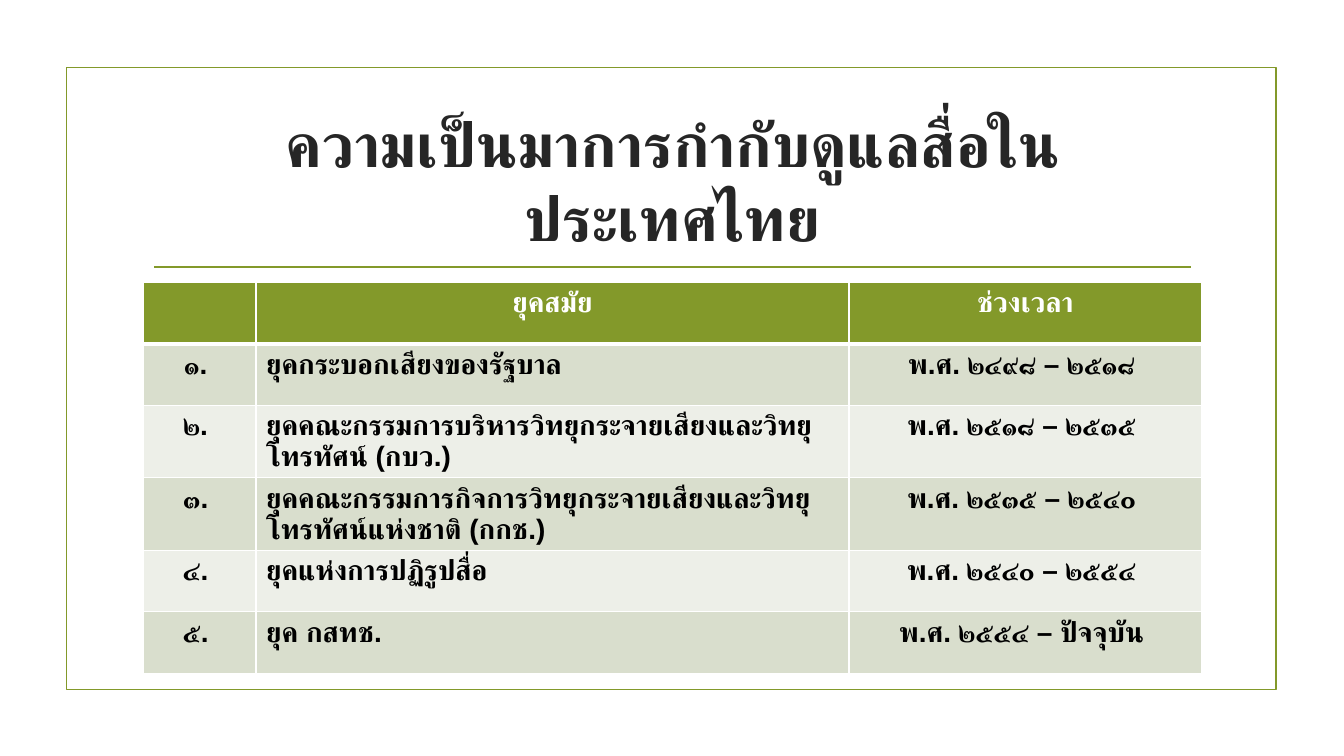
"""Build a slide listing the eras of media regulation in Thailand."""
import lxml.etree
import pptx
import pptx.dml.color
import pptx.enum.shapes
import pptx.enum.text
import pptx.oxml
import pptx.oxml.ns
import pptx.util

Inches = pptx.util.Inches
Pt = pptx.util.Pt
ALIGN = pptx.enum.text.PP_ALIGN
qn = pptx.oxml.ns.qn
COLORS = {"green": "83992A", "title": "262626", "white": "FFFFFF", "black": "000000",
          "odd": "D9DECD", "even": "EDEFE8"}
FONT = "Arial"


def rgb(name):
    return pptx.dml.color.RGBColor.from_string(COLORS[name])


def write(frame, text, size, color, align):
    paragraph = frame.paragraphs[0]
    paragraph.text = text
    paragraph.alignment = align
    for run in paragraph.runs:
        run.font.name = FONT
        run.font.size = Pt(size)
        run.font.bold = True
        run.font.color.rgb = rgb(color)
        thai_font = lxml.etree.SubElement(run.font._element, qn("a:cs"))
        thai_font.set("typeface", FONT)


presentation = pptx.Presentation()
presentation.slide_width = Inches(13.33)
presentation.slide_height = Inches(7.5)
slide = presentation.slides.add_slide(presentation.slide_layouts[5])

frame = slide.shapes.add_shape(pptx.enum.shapes.MSO_SHAPE.RECTANGLE,
                               Inches(0.66), Inches(0.67), Inches(12), Inches(6.17))
frame.shadow.inherit = False
frame.fill.background()
frame.line.color.rgb = rgb("green")
frame.line.width = Pt(1.25)

divider = slide.shapes.add_connector(pptx.enum.shapes.MSO_CONNECTOR.STRAIGHT,
                                     Inches(1.53), Inches(2.65), Inches(11.81), Inches(2.65))
divider.line.color.rgb = rgb("green")
divider.line.width = Pt(1.25)
lxml.etree.SubElement(divider._element.spPr, qn("a:effectLst"))

title = slide.shapes.title
title.left, title.top = Inches(1.42), Inches(1.07)
title.width, title.height = Inches(10.5), Inches(1.43)
title.text_frame.word_wrap = True
title.text_frame.auto_size = pptx.enum.text.MSO_AUTO_SIZE.NONE
title.text_frame.vertical_anchor = pptx.enum.text.MSO_ANCHOR.MIDDLE
write(title.text_frame, "ความเป็นมาการกำกับดูแลสื่อในประเทศไทย", 44, "title", ALIGN.CENTER)

eras = [
    ("", "ยุคสมัย", "ช่วงเวลา"),
    ("๑. ", "ยุคกระบอกเสียงของรัฐบาล", "พ.ศ. ๒๔๙๘ – ๒๕๑๘ "),
    ("๒. ", "ยุคคณะกรรมการบริหารวิทยุกระจายเสียงและวิทยุโทรทัศน์ (กบว.)", "พ.ศ. ๒๕๑๘ – ๒๕๓๕ "),
    ("๓. ", "ยุคคณะกรรมการกิจการวิทยุกระจายเสียงและวิทยุโทรทัศน์แห่งชาติ (กกช.)",
     "พ.ศ. ๒๕๓๕ – ๒๕๔๐ "),
    ("๔. ", "ยุคแห่งการปฏิรูปสื่อ", "พ.ศ. ๒๕๔๐ – ๒๕๕๔ "),
    ("๕. ", "ยุค กสทช.", "พ.ศ. ๒๕๕๔ – ปัจจุบัน "),
]
era_table = slide.shapes.add_table(len(eras), 3, Inches(1.42), Inches(2.8),
                                   Inches(10.5), Inches(3.65)).table
for column, width in zip(era_table.columns, (1.12, 5.88, 3.5)):
    column.width = Inches(width)

for row, era in enumerate(eras):
    era_table.rows[row].height = Inches(0.61)
    header = row == 0
    fill = "green" if header else ("odd" if row % 2 else "even")
    for column, text in enumerate(era):
        cell = era_table.cell(row, column)
        cell.fill.solid()
        cell.fill.fore_color.rgb = rgb(fill)
        align = ALIGN.LEFT if column == 1 and not header else ALIGN.CENTER
        write(cell.text_frame, text, 20, "white" if header else "black", align)
        for position, side in enumerate(("L", "R", "T", "B")):
            under_header = (row, side) in ((0, "B"), (1, "T"))
            border = lxml.etree.Element(qn(f"a:ln{side}"), w=str(Pt(3 if under_header else 1)))
            border_fill = lxml.etree.SubElement(border, qn("a:solidFill"))
            lxml.etree.SubElement(border_fill, qn("a:srgbClr"), val=COLORS["white"])
            cell._tc.get_or_add_tcPr().insert(position, border)

presentation.save("out.pptx")
